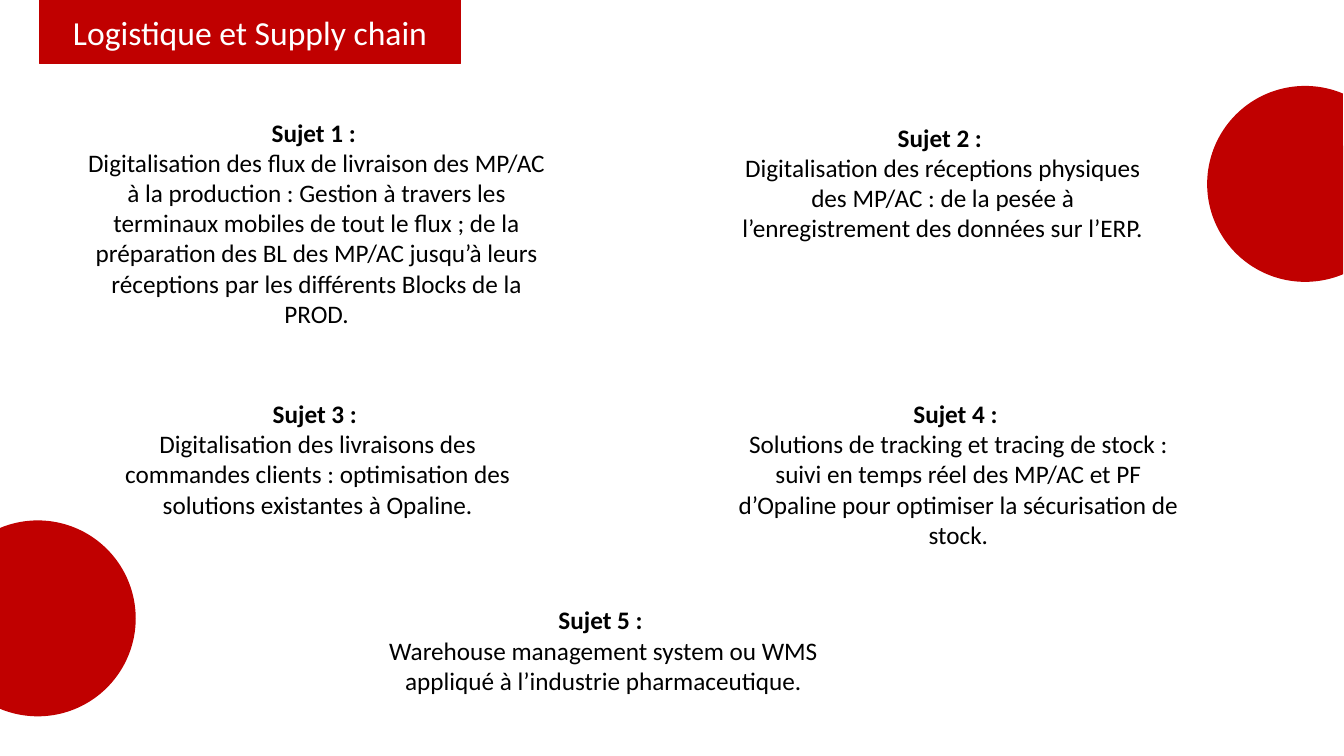
from pptx import Presentation
from pptx.dml.color import RGBColor
from pptx.enum.shapes import MSO_SHAPE
from pptx.enum.text import MSO_ANCHOR, MSO_AUTO_SIZE, PP_ALIGN
from pptx.util import Inches, Pt

# Content
RED, WHITE, BLACK = "C00000", "FFFFFF", "000000"
TITLE = "Logistique et Supply chain"
# left, top, width, height, heading, text
TOPICS = [
    (0.7, 1.11, 4.88, 2.22, "Sujet 1 : ",
     "Digitalisation des flux de livraison des MP/AC à la production : "
     "Gestion à travers les terminaux mobiles de tout le flux ; de la "
     "préparation des BL des MP/AC jusqu’à leurs réceptions par les "
     "différents Blocks de la PROD."),
    (7.26, 1.16, 4.18, 1.31, "Sujet 2 : ",
     "Digitalisation des réceptions physiques des MP/AC : de la pesée à "
     "l’enregistrement des données sur l’ERP."),
    (0.94, 3.9, 4.42, 1.31, "Sujet 3 : ",
     "Digitalisation des livraisons des commandes clients : optimisation "
     "des solutions existantes à Opaline."),
    (7.18, 3.9, 4.65, 1.62, "Sujet 4 : ",
     "Solutions de tracking et tracing de stock : suivi en temps réel des "
     "MP/AC et PF d’Opaline pour optimiser la sécurisation de stock."),
    (3.33, 5.95, 5.31, 1.01, "Sujet 5 : ",
     "Warehouse management system ou WMS appliqué à l’industrie "
     "pharmaceutique."),
]
SIZE, TILT = 1.93, 22.4
# left, top, mirrored
DISCS = [(11.98, 0.86, False), (-0.59, 5.17, True)]


def color(code):
    return RGBColor.from_string(code)


def paint(shape):
    shape.fill.solid()
    shape.fill.fore_color.rgb = color(RED)
    shape.line.color.rgb = color(RED)
    shape.line.width = Pt(1)


def write(par, text, size, code, bold=False):
    par.alignment = PP_ALIGN.CENTER
    run = par.add_run()
    run.text = text
    run.font.name = "Calibri"
    run.font.size = Pt(size)
    run.font.bold = bold
    run.font.color.rgb = color(code)


deck = Presentation()
deck.slide_width, deck.slide_height = Inches(13.33), Inches(7.5)
slide = deck.slides.add_slide(deck.slide_layouts[5])

# Title banner
title = slide.shapes.title
title.left, title.top = Inches(0.39), Inches(0)
title.width, title.height = Inches(4.18), Inches(0.63)
paint(title)
title.text_frame.auto_size = MSO_AUTO_SIZE.NONE
title.text_frame.vertical_anchor = MSO_ANCHOR.MIDDLE
write(title.text_frame.paragraphs[0], TITLE, 24, WHITE)

# Topics
for left, top, width, height, head, text in TOPICS:
    box = slide.shapes.add_textbox(*map(Inches, (left, top, width, height)))
    frame = box.text_frame
    frame.word_wrap = True
    frame.auto_size = MSO_AUTO_SIZE.SHAPE_TO_FIT_TEXT
    write(frame.paragraphs[0], head, 18, BLACK, True)
    write(frame.add_paragraph(), text, 18, BLACK)

# Discs cut at the slide edges
for left, top, mirror in DISCS:
    disc = slide.shapes.add_shape(
        MSO_SHAPE.CHORD, *map(Inches, (left, top, SIZE, SIZE)))
    disc.shadow.inherit = False
    paint(disc)
    disc.rotation = 360 - TILT if mirror else TILT
    if mirror:
        disc.element.spPr.xfrm.set("flipH", "1")

deck.save("out.pptx")
